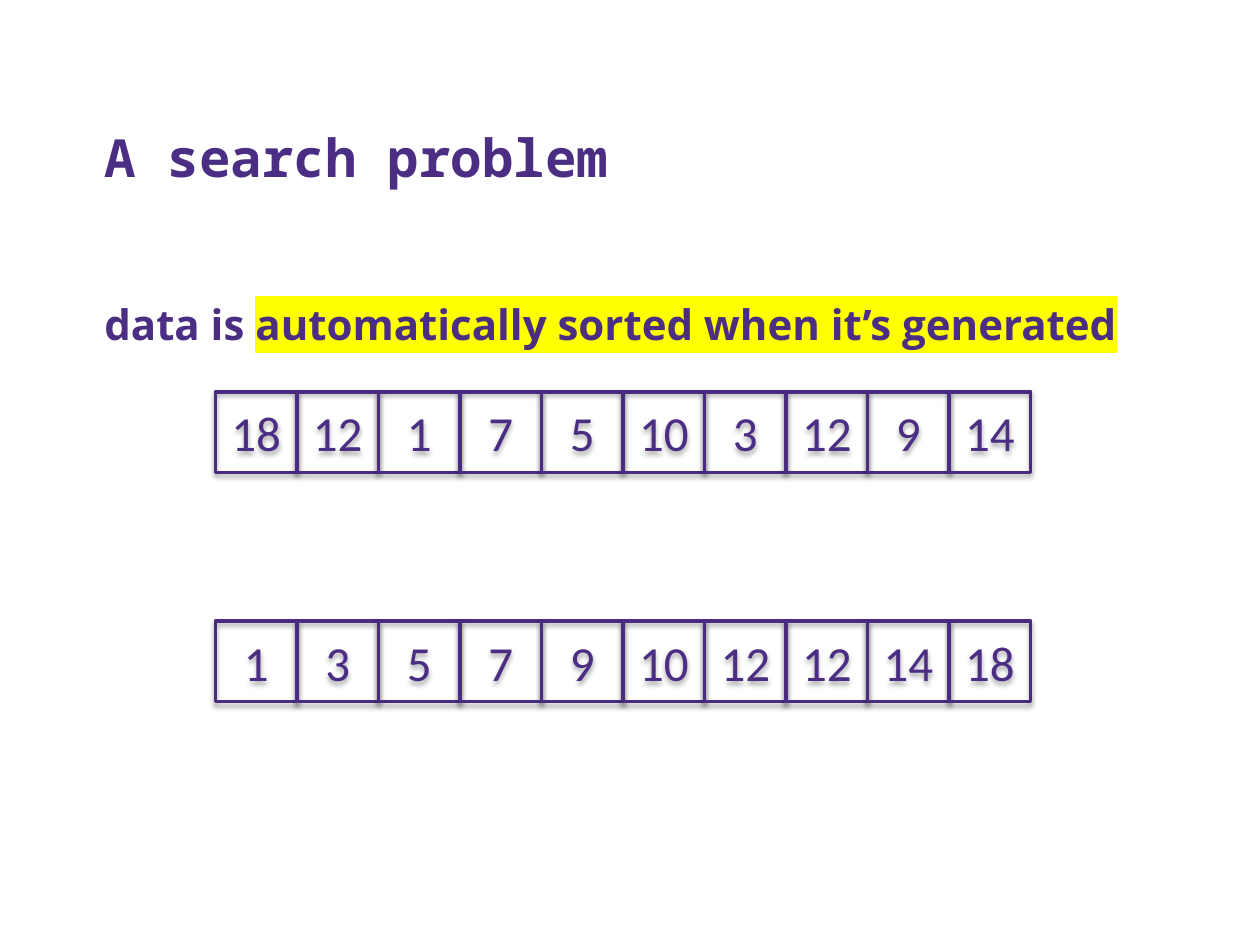
from lxml import etree
from pptx import Presentation
from pptx.dml.color import RGBColor
from pptx.enum import shapes, text
from pptx.oxml import parse_xml
from pptx.oxml.ns import nsdecls, qn
from pptx.util import Inches, Pt

PURPLE = RGBColor(0x4B, 0x2E, 0x83)
BORDER = RGBColor(0x49, 0x2B, 0x82)
YELLOW = RGBColor(0xFF, 0xFF, 0x00)

TITLE_FONT = {"name": "Noto Sans Mono", "size": Pt(30), "bold": True}
BODY_FONT = {"name": "Open Sans", "size": Pt(24), "bold": True}
CELL_FONT = {"name": "Calibri", "size": Pt(28), "bold": False}

SHADOW = (
    f'<a:effectLst {nsdecls("a")}>'
    f'<a:outerShdw blurRad="{Pt(3.1)}" dist="{Pt(1.8)}" dir="5400000" rotWithShape="0">'
    '<a:srgbClr val="000000"><a:alpha val="35000"/></a:srgbClr>'
    '</a:outerShdw></a:effectLst>'
)

ARRAYS = [
    (3.11, [18, 12, 1, 7, 5, 10, 3, 12, 9, 14]),
    (4.93, [1, 3, 5, 7, 9, 10, 12, 12, 14, 18]),
]
ARRAY_LEFT, ARRAY_WIDTH, CELL_HEIGHT = Inches(1.71), Inches(6.47), Inches(0.64)


def add_run(p, content, style):
    r = p.add_run()
    r.text = content
    for name, value in style.items():
        setattr(r.font, name, value)
    r.font.color.rgb = PURPLE
    return r


prs = Presentation()
prs.slide_width, prs.slide_height = Inches(10), Inches(7.5)
s = prs.slides.add_slide(prs.slide_layouts[5])

# Title
title = s.shapes.title
title.left, title.top = Inches(0.73), Inches(0.41)
title.width, title.height = Inches(8.95), Inches(1.08)
tf = title.text_frame
tf.auto_size = text.MSO_AUTO_SIZE.NONE
tf.vertical_anchor = text.MSO_ANCHOR.BOTTOM
tf.margin_bottom = 0
p = tf.paragraphs[0]
p.alignment = text.PP_ALIGN.LEFT
add_run(p, "A search problem", TITLE_FONT)

# Unsorted and sorted arrays
for top, values in ARRAYS:
    cell_width = ARRAY_WIDTH // len(values)
    for i, value in enumerate(values):
        cell = s.shapes.add_shape(
            shapes.MSO_SHAPE.RECTANGLE, ARRAY_LEFT + i * cell_width, Inches(top),
            cell_width, CELL_HEIGHT)
        cell.fill.background()
        cell.line.color.rgb = BORDER
        cell.line.width = Pt(2)
        cell.element.spPr.append(parse_xml(SHADOW))
        tf = cell.text_frame
        tf.vertical_anchor = text.MSO_ANCHOR.MIDDLE
        p = tf.paragraphs[0]
        p.alignment = text.PP_ALIGN.CENTER
        add_run(p, str(value), CELL_FONT)

# Statement with highlighted ending
statement = s.shapes.add_textbox(Inches(0.73), Inches(2.34), Inches(8.96), Inches(0.95))
tf = statement.text_frame
tf.word_wrap = True
tf.margin_top = Inches(0.03)
p = tf.paragraphs[0]
add_run(p, "data is ", BODY_FONT)
r = add_run(p, "automatically sorted when it’s generated", BODY_FONT)
highlight = etree.Element(qn("a:highlight"))
etree.SubElement(highlight, qn("a:srgbClr"), val=str(YELLOW))
r.font.fill  # the text colour must come before the highlight
r.font._element.find(qn("a:solidFill")).addnext(highlight)

prs.save("out.pptx")
